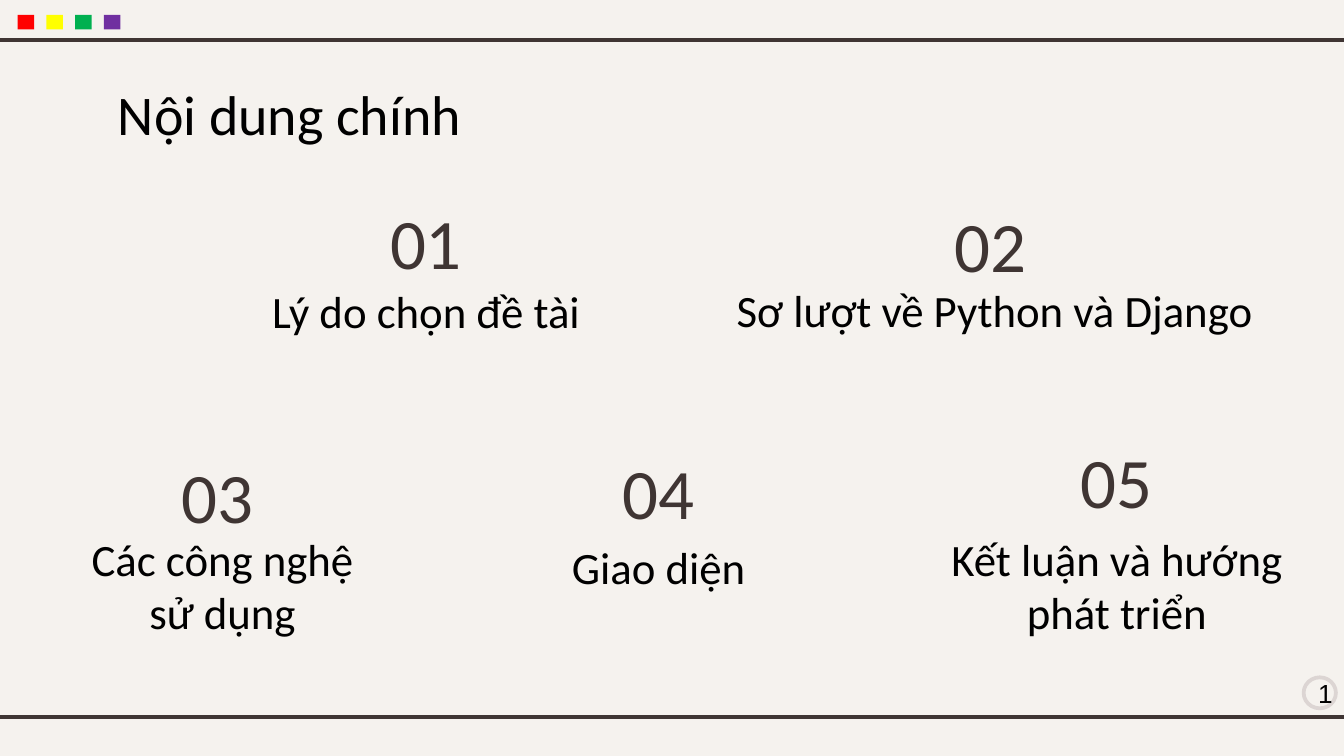
from pptx import Presentation
from pptx.dml.color import RGBColor
from pptx.enum.shapes import MSO_CONNECTOR, MSO_SHAPE
from pptx.enum.text import MSO_ANCHOR, MSO_AUTO_SIZE, PP_ALIGN
from pptx.oxml.ns import qn
from pptx.util import Pt
from lxml.etree import SubElement

W, H = 720, 405
DARK, BLACK = "3F3533", "000000"
TITLE = "Nội dung chính"
ITEMS = [
    ("01", (187.2, 103), "Lý do chọn đề tài", (130.3, 152.6, 195.8)),
    ("02", (489.6, 104.4), "Sơ lượt về Python và Django", (378, 151.9, 309.6)),
    ("03", (75.6, 239), "Các công nghệ sử dụng", (29.5, 299.5, 179.3)),
    ("04", (311.8, 236.9), "Giao diện", (254.9, 289.4, 195.8)),
    ("05", (557.3, 231.1), "Kết luận và hướng phát triển", (500.4, 299.5, 195.8)),
]
NUMBER_W, NUMBER_H, LABEL_H = 82, 52.5, 28
SQUARES = ["FF0000", "FFFF00", "00B050", "7030A0"]
RULES = [21.5, 384]


def color(value):
    return RGBColor.from_string(value)


def write(sp, text, size, hue=BLACK, align=PP_ALIGN.CENTER,
          anchor=MSO_ANCHOR.MIDDLE, font="Calibri", margin=7.2):
    tf = sp.text_frame
    tf.auto_size = MSO_AUTO_SIZE.NONE
    tf.word_wrap = True
    tf.vertical_anchor = anchor
    tf.margin_left = tf.margin_right = Pt(margin)
    tf.margin_top = tf.margin_bottom = Pt(margin)
    p = tf.paragraphs[0]
    p.text = text
    p.alignment = align
    p.font.name = font
    p.font.size = Pt(size)
    p.font.color.rgb = color(hue)
    return tf


def add_text(s, box, text, size, hue=BLACK):
    write(s.shapes.add_textbox(*map(Pt, box)), text, size, hue)


def add_shape(s, kind, box):
    sp = s.shapes.add_shape(kind, *map(Pt, box))
    sp.shadow.inherit = False
    return sp


def add_rule(s, y):
    line = s.shapes.add_connector(
        MSO_CONNECTOR.STRAIGHT, Pt(-6), Pt(y), Pt(W + 6), Pt(y))
    line.line.color.rgb = color(DARK)
    line.line.width = Pt(2.25)
    SubElement(line._element.spPr, qn("a:effectLst"))


prs = Presentation()
prs.slide_width, prs.slide_height = Pt(W), Pt(H)
s = prs.slides.add_slide(prs.slide_layouts[5])
s.background.fill.solid()
s.background.fill.fore_color.rgb = color("F5F2EE")

for y in RULES:
    add_rule(s, y)

title = s.shapes.title
title.left, title.top, title.width, title.height = map(Pt, (56, 35.3, 282, 45.4))
write(title, TITLE, 30, align=PP_ALIGN.LEFT, anchor=MSO_ANCHOR.TOP)

for number, (nx, ny), label, (x, y, w) in ITEMS:
    add_text(s, (x, y, w, LABEL_H), label, 24)
    add_text(s, (nx, ny, NUMBER_W, NUMBER_H), number, 38, DARK)

for i, hue in enumerate(SQUARES):
    square = add_shape(s, MSO_SHAPE.RECTANGLE, (9.5 + 15.4 * i, 7.9, 8.8, 7.9))
    square.fill.solid()
    square.fill.fore_color.rgb = color(hue)
    square.line.fill.background()

badge = add_shape(s, MSO_SHAPE.OVAL, (698.4, 362.9, 17.3, 16.6))
badge.fill.background()
badge.line.color.rgb = color("DCD5D3")
badge.line.width = Pt(2)
tf = write(badge, "1", 14, font="Arial", margin=0)
tf.word_wrap = False
tf.margin_left = Pt(6)

prs.save("out.pptx")
